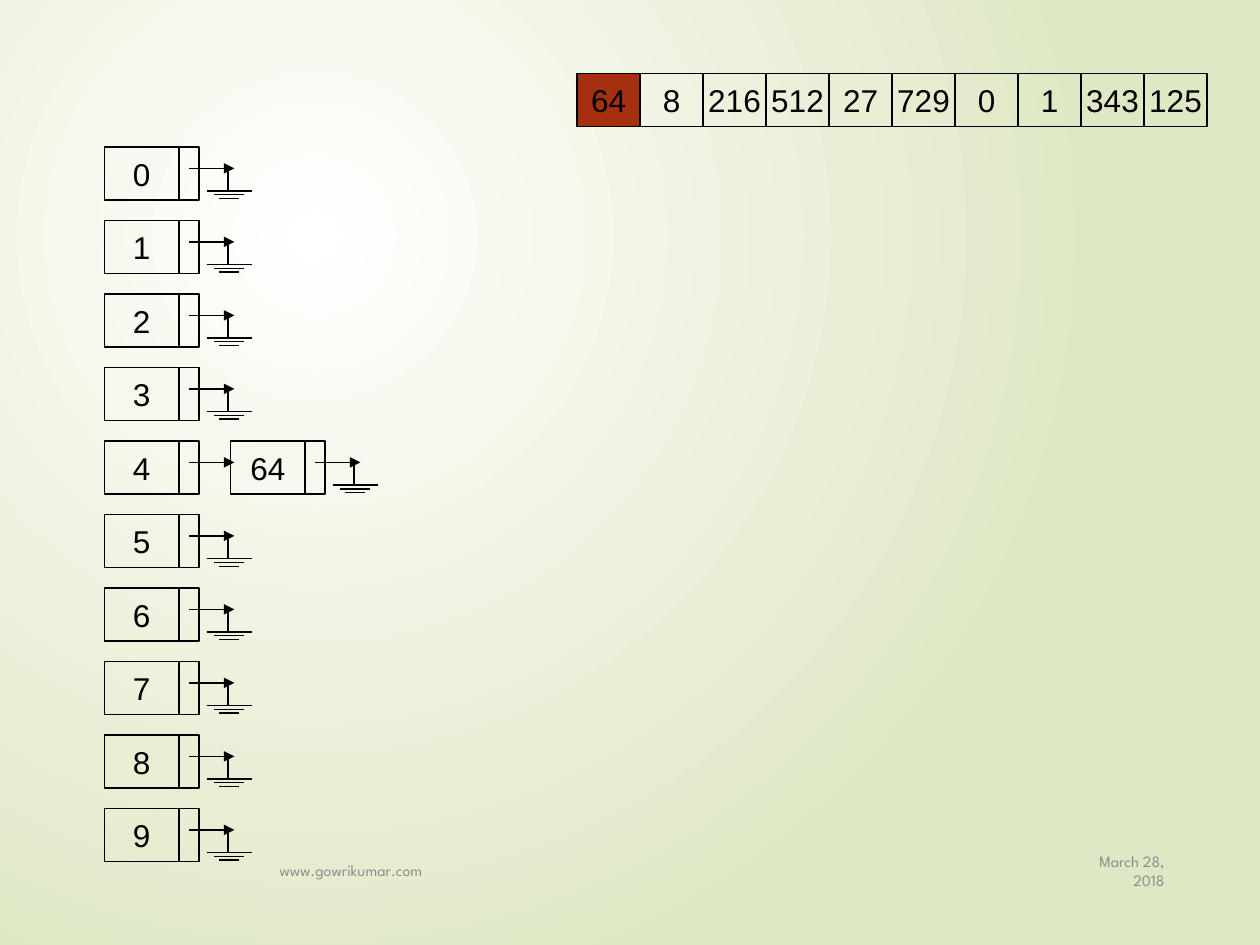
from lxml.etree import SubElement
from pptx import Presentation
from pptx.dml.color import RGBColor
from pptx.enum.shapes import MSO_CONNECTOR, MSO_SHAPE
from pptx.enum.text import MSO_ANCHOR, PP_ALIGN
from pptx.oxml.ns import qn
from pptx.util import Inches, Pt

COLORS = {
    "ink": "000000",
    "mark": "A53010",
    "note": "8C8C8C",
    "glow": "FFFFFF",
    "edge": "DFE8C4",
}
VALUES = [64, 8, 216, 512, 27, 729, 0, 1, 343, 125]
BUCKETS = {4: [64]}
ROW = 7 / 12
LEFT = 0.83
STEP = 1
TALL = 0.42


class Board:
    """Hold the style and the current slide, and draw its elements."""

    def __init__(self, slide):
        self.slide = slide
        self.font = "Arial"
        self.small = "League Spartan"
        self.width = Pt(0.75)

    def color(self, name):
        return RGBColor.from_string(COLORS[name])

    def ground(self):
        fill = self.slide.background.fill
        fill.gradient()
        for stop, name in zip(fill.gradient_stops, ("glow", "edge")):
            stop.color.rgb = self.color(name)
        grad = next(self.slide.element.iter(qn("a:gradFill")))
        grad.remove(grad.find(qn("a:lin")))
        shade = SubElement(grad, qn("a:path"), path="circle")
        SubElement(shade, qn("a:fillToRect"), l="50000", t="50000", r="100000", b="100000")

    def group(self):
        return self.slide.shapes.add_group_shape().shapes

    def label(self, frame, text, size, font, color, align):
        frame.vertical_anchor = MSO_ANCHOR.MIDDLE
        par = frame.paragraphs[0]
        par.alignment = align
        run = par.add_run()
        run.text = text
        run.font.size = Pt(size)
        run.font.name = font
        run.font.color.rgb = self.color(color)

    def note(self, text, x, y, w, h, align):
        frame = self.slide.shapes.add_textbox(Inches(x), Inches(y), Inches(w), Inches(h)).text_frame
        frame.word_wrap = True
        self.label(frame, text, 9, self.small, "note", align)

    def box(self, shapes, x, y, w, text=None, fill=None):
        shape = shapes.add_shape(MSO_SHAPE.RECTANGLE, Inches(x), Inches(y), Inches(w), Inches(TALL))
        shape.shadow.inherit = False
        if fill:
            shape.fill.solid()
            shape.fill.fore_color.rgb = self.color(fill)
        else:
            shape.fill.background()
        shape.line.color.rgb = self.color("ink")
        shape.line.width = self.width
        if text is not None:
            shape.text_frame.word_wrap = False
            self.label(shape.text_frame, str(text), 18, self.font, "ink", PP_ALIGN.CENTER)

    def line(self, shapes, x1, y1, x2, y2, arrow=False):
        line = shapes.add_connector(
            MSO_CONNECTOR.STRAIGHT, Inches(x1), Inches(y1), Inches(x2), Inches(y2))
        line.line.color.rgb = self.color("ink")
        line.line.width = self.width
        props = line.element.spPr
        if arrow:
            SubElement(props.find(qn("a:ln")), qn("a:tailEnd"), type="triangle")
        SubElement(props, qn("a:effectLst"))

    def node(self, x, y, text, last):
        part = self.group()
        self.box(part, x, y, 0.59, text)
        self.box(part, x + 0.59, y, 0.16)
        self.line(part, x + 0.67, y + 0.17, x + 1.03, y + 0.17, arrow=True)
        if last:
            mid = x + 0.98
            for drop, half in ((0.35, 0.18), (0.38, 0.12), (0.41, 0.08)):
                self.line(part, mid + 0.01 - half, y + drop, mid + 0.01 + half, y + drop)
            self.line(part, mid, y + 0.35, mid, y + 0.17)

    def chain(self, y, items):
        for pos, item in enumerate(items):
            self.node(LEFT + pos * STEP, y, item, pos == len(items) - 1)

    def array(self, x, y, values):
        part = self.group()
        for pos, value in enumerate(values):
            self.box(part, x + pos * 0.5, y, 0.5, value, None if pos else "mark")


def main():
    deck = Presentation()
    deck.slide_width = Inches(10)
    deck.slide_height = Inches(7.5)
    board = Board(deck.slides.add_slide(deck.slide_layouts[6]))
    board.ground()
    board.note("March 28, 2018", 8.5, 6.71, 0.84, 0.4, PP_ALIGN.RIGHT)
    board.note("www.gowrikumar.com", 2.12, 6.71, 6.25, 0.4, PP_ALIGN.LEFT)
    board.array(4.58, ROW, VALUES)
    for digit in range(10):
        board.chain((digit + 2) * ROW, [digit] + BUCKETS.get(digit, []))
    deck.save("out.pptx")


if __name__ == "__main__":
    main()
